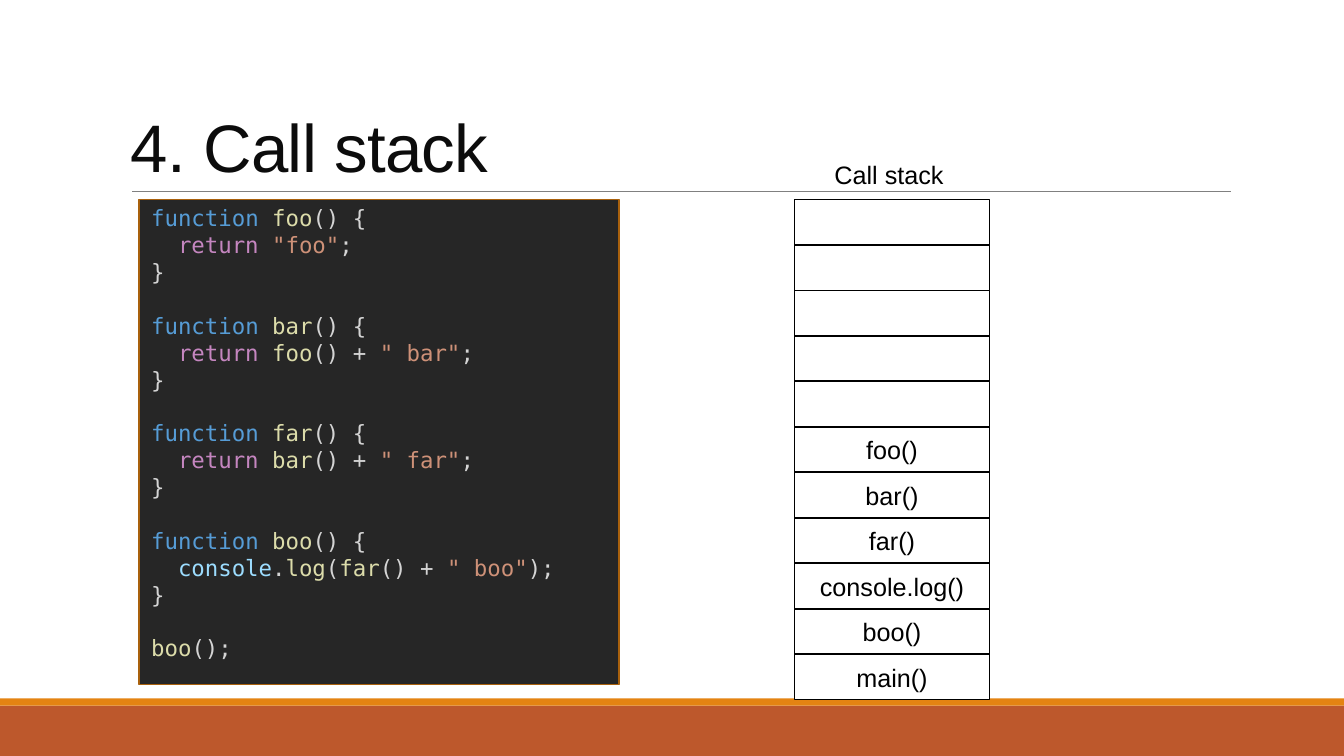
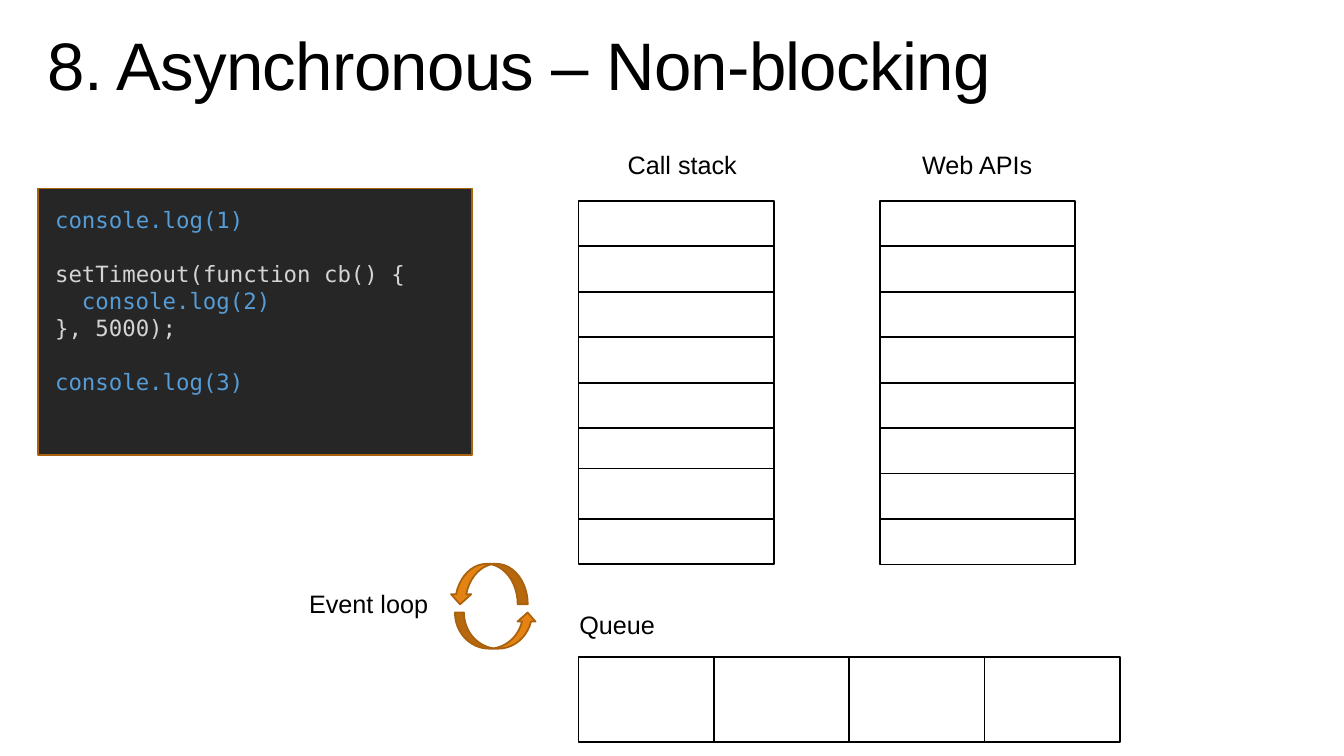
import pptx
import pptx.dml.color
import pptx.enum.shapes
import pptx.enum.text
import pptx.oxml.ns
import pptx.util
from lxml import etree

Cm = pptx.util.Cm
Pt = pptx.util.Pt
SHAPES = pptx.enum.shapes.MSO_SHAPE
ANCHOR = pptx.enum.text.MSO_ANCHOR
ALIGN = pptx.enum.text.PP_ALIGN

WHITE, BLACK, INK = "FFFFFF", "000000", "0C0C0C"
RUST, ORANGE, BROWN, GREY = "BD582C", "E48312", "A9610D", "808080"
EDITOR = "262626"
KEYWORD, CALL, PLAIN = "569CD6", "DCDCAA", "D4D4D4"
CONTROL, STRING, OBJECT = "C586C0", "CE9178", "9CDCFE"

SLIDE_WIDTH, SLIDE_HEIGHT = 33.87, 19.05
CELL_WIDTH, CELL_HEIGHT = 4.92, 12.6 / 11
CODE_LINE = 19.2


def color(value):
    return pptx.dml.color.RGBColor.from_string(value)


class Deck:
    """Hold the deck style and draw elements on the current slide."""

    sans = "Arial"
    mono = "DejaVu Sans Mono"

    def __init__(self):
        self.presentation = pptx.Presentation()
        self.presentation.slide_width = Cm(SLIDE_WIDTH)
        self.presentation.slide_height = Cm(SLIDE_HEIGHT)
        self.slide = None

    def new_slide(self):
        blank = self.presentation.slide_layouts[6]
        self.slide = self.presentation.slides.add_slide(blank)
        self.shape(0, 17.78, SLIDE_WIDTH, 1.27, RUST)
        self.shape(0, 17.6, SLIDE_WIDTH, 0.18, ORANGE)

    def shape(self, left, top, width, height, fill, line=None, kind=SHAPES.RECTANGLE):
        shape = self.slide.shapes.add_shape(kind, Cm(left), Cm(top), Cm(width), Cm(height))
        shape.shadow.inherit = False
        shape.fill.solid()
        shape.fill.fore_color.rgb = color(fill)
        if line:
            shape.line.color.rgb = color(line)
            shape.line.width = Pt(1.25)
        else:
            shape.line.fill.background()
        return shape

    def rule(self, left, right, top):
        rule = self.slide.shapes.add_connector(
            pptx.enum.shapes.MSO_CONNECTOR.STRAIGHT, Cm(left), Cm(top), Cm(right), Cm(top))
        rule.line.color.rgb = color(GREY)
        rule.line.width = Pt(0.5)
        etree.SubElement(rule._element.spPr, pptx.oxml.ns.qn("a:effectLst"))

    def style(self, run, size, ink, face=sans):
        run.font.size = Pt(size)
        run.font.name = face
        run.font.color.rgb = color(ink)

    def text_frame(self, left, top, width, height):
        box = self.slide.shapes.add_textbox(Cm(left), Cm(top), Cm(width), Cm(height))
        box.text_frame.word_wrap = True
        return box.text_frame

    def title(self, text, left, top, ink):
        frame = self.text_frame(left, top, 27.94, 4.04)
        frame.vertical_anchor = ANCHOR.BOTTOM
        frame.text = text
        frame.paragraphs[0].line_spacing = 0.85
        run = frame.paragraphs[0].runs[0]
        self.style(run, 48, ink)
        run.font._element.set("spc", "-50")

    def label(self, text, left, top, width):
        frame = self.text_frame(left, top, width, 1.02)
        frame.text = text
        self.style(frame.paragraphs[0].runs[0], 18, BLACK)

    def cell(self, left, top, width, height, text=""):
        cell = self.shape(left, top, width, height, WHITE, BLACK)
        if text:
            frame = cell.text_frame
            frame.vertical_anchor = ANCHOR.MIDDLE
            frame.text = text
            frame.paragraphs[0].alignment = ALIGN.CENTER
            self.style(frame.paragraphs[0].runs[0], 18, BLACK)

    def stack(self, left, top, heights, calls=()):
        texts = [""] * (len(heights) - len(calls)) + list(calls)
        for height, text in zip(heights, texts):
            self.cell(left, top, CELL_WIDTH, height, text)
            top += height

    def queue(self, left, top, count):
        for place in range(count):
            self.cell(left + place * 3.41, top, 3.41, 2.13)

    def code(self, left, top, width, height, blocks):
        frame = self.text_frame(left, top, width, height)
        paragraph = frame.paragraphs[0]
        for block_number, block in enumerate(blocks):
            for line_number, (indent, tokens) in enumerate(block):
                if block_number or line_number:
                    paragraph = frame.add_paragraph()
                if block_number and not line_number:
                    paragraph.space_before = Pt(CODE_LINE)
                if indent:
                    paragraph._p.get_or_add_pPr().set("marL", str(Pt(CODE_LINE)))
                for text, ink in tokens:
                    run = paragraph.add_run()
                    run.text = text
                    self.style(run, 16, ink, self.mono)

    def loop_arrow(self, left, top, width, height, kind, flipped=False):
        arrow = self.shape(left, top, width, height, ORANGE, BROWN, kind)
        arrow.rotation = 270
        if flipped:
            arrow._element.spPr.get_or_add_xfrm().set("flipV", "1")


def function_block(name, body):
    return [
        (False, [("function ", KEYWORD), (name, CALL), ("() {", PLAIN)]),
        (True, body),
        (False, [("}", PLAIN)]),
    ]


def returning(callee, suffix):
    return [("return ", CONTROL), (callee, CALL), ("() + ", PLAIN),
            (suffix, STRING), (";", PLAIN)]


def call_stack_slide(deck):
    deck.new_slide()
    deck.rule(3.33, 31.01, 4.83)
    deck.title("4. Call stack", 3.05, 0.79, INK)
    deck.shape(3.5, 5.03, 12.1, 12.22, EDITOR, BROWN)
    deck.code(3.56, 5.03, 11.96, 12.57, [
        function_block("foo", [("return ", CONTROL), ('"foo"', STRING), (";", PLAIN)]),
        function_block("bar", returning("foo", '" bar"')),
        function_block("far", returning("bar", '" far"')),
        function_block("boo", [
            ("console", OBJECT), (".", PLAIN), ("log", CALL), ("(", PLAIN),
            ("far", CALL), ("() + ", PLAIN), ('" boo"', STRING), (");", PLAIN)]),
        [(False, [("boo", CALL), ("();", PLAIN)])],
    ])
    deck.stack(20.02, 5.03, [CELL_HEIGHT] * 11,
               ["foo()", "bar()", "far()", "console.log()", "boo()", "main()"])
    deck.label("Call stack", 20.78, 3.89, 7.62)


def non_blocking_slide(deck):
    deck.new_slide()
    deck.title("8. Asynchronous – Non-blocking", 0.95, -1.3, BLACK)
    deck.shape(0, 3.05, SLIDE_WIDTH, 16, WHITE, WHITE)
    deck.shape(0.95, 4.75, 10.95, 6.71, EDITOR, BROWN)
    deck.code(1.14, 5.08, 9.88, 5.74, [
        [(False, [("console.log(1)", KEYWORD)])],
        [(False, [("setTimeout(function cb() {", PLAIN)]),
         (True, [("console.log(2)", KEYWORD)]),
         (False, [("}, 5000);", PLAIN)])],
        [(False, [("console.log(3)", KEYWORD)])],
    ])
    deck.stack(14.58, 5.06, [CELL_HEIGHT] * 5 + [1.02, 1.27, CELL_HEIGHT])
    deck.stack(22.17, 5.06, [CELL_HEIGHT] * 8)
    deck.label("Call stack", 15.57, 3.63, 3.3)
    deck.label("Web APIs", 22.99, 3.63, 3.84)
    deck.queue(14.58, 16.56, 4)
    deck.label("Queue", 14.35, 15.24, 3.3)
    deck.loop_arrow(12.04, 14.86, 0.91, 2.06, SHAPES.CURVED_RIGHT_ARROW)
    deck.loop_arrow(11.81, 13.74, 1.02, 1.96, SHAPES.CURVED_LEFT_ARROW, flipped=True)
    deck.label("Event loop", 7.54, 14.71, 3.81)


def main():
    deck = Deck()
    call_stack_slide(deck)
    non_blocking_slide(deck)
    deck.presentation.save("out.pptx")


if __name__ == "__main__":
    main()
